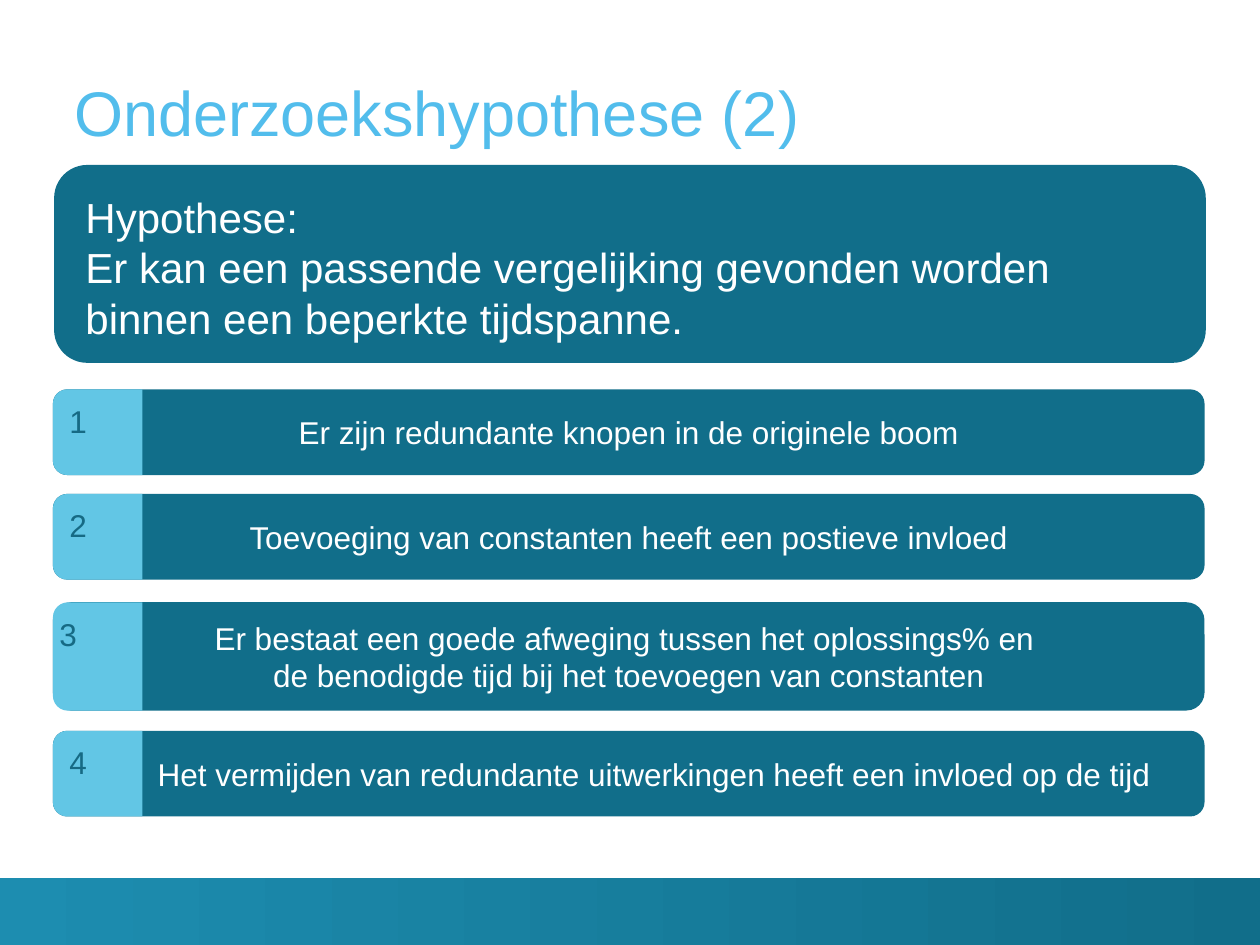
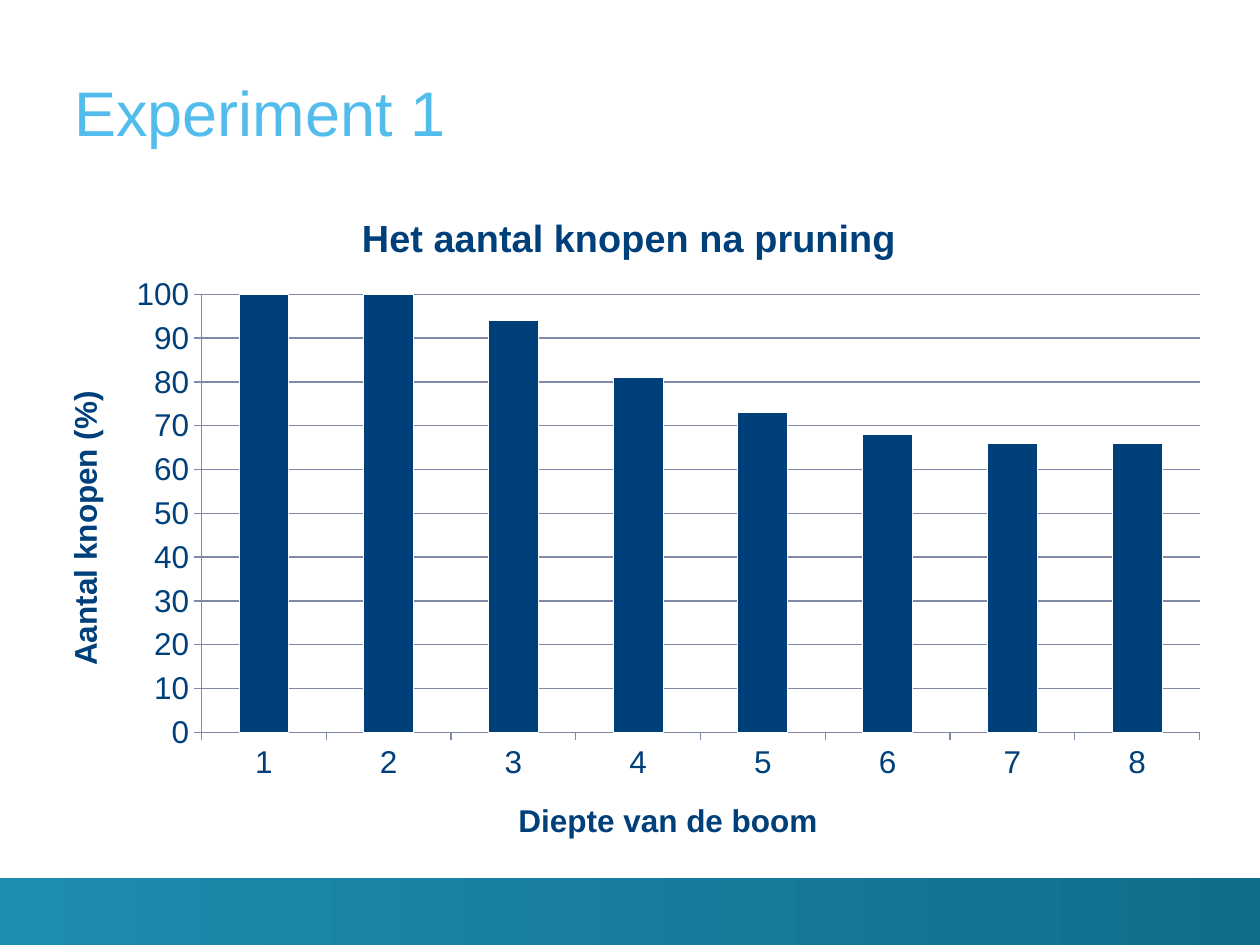
"""Build two slides: a research hypothesis and the chart of the first experiment."""
from lxml import etree
from pptx import Presentation
from pptx.chart.data import CategoryChartData
from pptx.dml.color import RGBColor
from pptx.enum import chart as ch, shapes as sh, text as tx
from pptx.oxml import ns
from pptx.util import Inches, Pt

FONT = "Arial"
HEX = {
    "title": "52BDEC", "teal": "116E8A", "band": "1D8DB0", "tile": "62C6E5",
    "digit": "166A84", "navy": "00407A", "grid": "8189A8", "white": "FFFFFF",
}
ROWS = [
    (3.09, 0.68, "Er zijn redundante knopen in de originele boom", 0.2, 0.1),
    (3.92, 0.68, "Toevoeging van constanten heeft een postieve invloed", 0.2, 0.1),
    (4.78, 0.86, "Er bestaat een goede afweging tussen het oplossings% en \v"
     "de benodigde tijd bij het toevoegen van constanten", 0.12, 0.1),
    (5.8, 0.68, "Het vermijden van redundante uitwerkingen heeft een invloed op de tijd",
     0.2, 0.5),
]
NODES = [100, 100, 94, 81, 73, 68, 66, 66]


def color(name):
    """Return the named colour."""
    return RGBColor.from_string(HEX[name])


def style(font, size, name, bold=False):
    """Set face, size, colour and weight of a font."""
    font.name, font.size, font.bold = FONT, Pt(size), bold
    font.color.rgb = color(name)


def write(shape, words, size, name, align=tx.PP_ALIGN.LEFT, anchor=tx.MSO_ANCHOR.TOP):
    """Put styled, wrapped text in a shape."""
    frame = shape.text_frame
    frame.word_wrap, frame.vertical_anchor = True, anchor
    para = frame.paragraphs[0]
    para.text, para.alignment = words, align
    for run in para.runs:
        style(run.font, size, name)
    return frame


def label(slide, x, y, w, h):
    """Add an empty text box."""
    return slide.shapes.add_textbox(Inches(x), Inches(y), Inches(w), Inches(h))


def block(slide, kind, x, y, w, h, name):
    """Add a flat shape without an outline."""
    shape = slide.shapes.add_shape(kind, Inches(x), Inches(y), Inches(w), Inches(h))
    shape.shadow.inherit = False
    shape.line.fill.background()
    shape.fill.solid()
    shape.fill.fore_color.rgb = color(name)
    return shape


def base(deck, title):
    """Add a slide with the shared footer band and title."""
    slide = deck.slides.add_slide(deck.slide_layouts[6])
    band = block(slide, sh.MSO_SHAPE.RECTANGLE, 0, 6.97, 10, 0.53, "band")
    band.fill.gradient()
    band.fill.gradient_angle = 0
    for stop, name in zip(band.fill.gradient_stops, ("band", "teal")):
        stop.color.rgb = color(name)
    frame = write(label(slide, 0.59, 0.2, 9.11, 0.98), title, 36, "title",
                  anchor=tx.MSO_ANCHOR.BOTTOM)
    frame.margin_left = frame.margin_right = 0
    frame.margin_top = frame.margin_bottom = 0
    return slide


def claim(slide, x, y, w, h):
    """Draw the main hypothesis panel."""
    block(slide, sh.MSO_SHAPE.ROUNDED_RECTANGLE, x, y, w, h, "teal")
    write(label(slide, x + 0.15, y + 0.16, w - 0.32, h - 0.26),
          "Hypothese: \vEr kan een passende vergelijking gevonden worden "
          "binnen een beperkte tijdspanne.", 24, "white")


def row(slide, x, y, w, h, num, words, shift, inset):
    """Draw a numbered bar whose tile is rounded on the left."""
    center, middle = tx.PP_ALIGN.CENTER, tx.MSO_ANCHOR.MIDDLE
    bar = block(slide, sh.MSO_SHAPE.ROUNDED_RECTANGLE, x, y, w, h, "teal")
    write(bar, words, 18, "white", center, middle).margin_left = Inches(inset)
    wide = 0.71
    tile = block(slide, sh.MSO_SHAPE.ROUND_2_SAME_RECTANGLE, x + (wide - h) / 2,
                 y + (h - wide) / 2, h, wide, "tile")
    tile.rotation = 270
    write(label(slide, x + shift - 0.2, y, 0.4, 0.5), str(num), 18, "digit",
          center, middle)


def theory(deck):
    """Build the hypothesis slide."""
    slide = base(deck, "Onderzoekshypothese (2)")
    claim(slide, 0.43, 1.31, 9.14, 1.57)
    for num, (top, high, words, shift, inset) in enumerate(ROWS, 1):
        row(slide, 0.42, top, 9.14, high, num, words, shift, inset)


def place(chart, **box):
    """Fix the inner plot area as fractions of the chart."""
    plot = chart.element.find(".//" + ns.qn("c:plotArea"))
    old = plot.find(ns.qn("c:layout"))
    if old is not None:
        plot.remove(old)
    layout = etree.Element(ns.qn("c:layout"))
    manual = etree.SubElement(layout, ns.qn("c:manualLayout"))
    parts = {"layoutTarget": "inner", "xMode": "edge", "yMode": "edge", **box}
    for tag, val in parts.items():
        etree.SubElement(manual, ns.qn("c:" + tag)).set("val", str(val))
    plot.insert(0, layout)


def head(frame, words, size):
    """Write a bold chart or axis title."""
    frame.text = words
    style(frame.paragraphs[0].runs[0].font, size, "navy", True)


def graph(slide, x, y, w, h):
    """Draw the column chart of node counts."""
    data = CategoryChartData()
    data.categories = [str(num) for num in range(1, len(NODES) + 1)]
    data.add_series("Series 1", NODES)
    chart = slide.shapes.add_chart(ch.XL_CHART_TYPE.COLUMN_CLUSTERED, Inches(x),
                                   Inches(y), Inches(w), Inches(h), data).chart
    style(chart.font, 18, "navy")
    chart.has_legend = False
    head(chart.chart_title.text_frame, "Het aantal knopen na pruning", 21.6)
    plot = chart.plots[0]
    plot.gap_width, plot.vary_by_categories = 150, False
    look = plot.series[0].format
    look.fill.solid()
    look.fill.fore_color.rgb = color("navy")
    look.line.color.rgb = color("white")
    cat, val = chart.category_axis, chart.value_axis
    for axis, words in ((cat, "Diepte van de boom"), (val, "Aantal knopen (%)")):
        head(axis.axis_title.text_frame, words, 18)
        axis.major_tick_mark = ch.XL_TICK_MARK.OUTSIDE
        axis.format.line.color.rgb = color("grid")
    val.minimum_scale, val.maximum_scale, val.major_unit = 0, 100, 10
    val.has_major_gridlines = True
    val.major_gridlines.format.line.color.rgb = color("grid")
    body = chart.element.find(".//" + ns.qn("c:valAx")).find(
        ns.qn("c:title")).find(".//" + ns.qn("a:bodyPr"))
    body.set("rot", "-5400000")
    body.set("vert", "horz")
    place(chart, x=0.14, y=0.16, w=0.84, h=0.65)


def trial(deck):
    """Build the experiment slide."""
    graph(base(deck, "Experiment 1"), 0.28, 1.48, 9.43, 5.35)


def main():
    """Build and save the deck."""
    deck = Presentation()
    deck.slide_width, deck.slide_height = Inches(10), Inches(7.5)
    theory(deck)
    trial(deck)
    deck.save("out.pptx")


if __name__ == "__main__":
    main()
